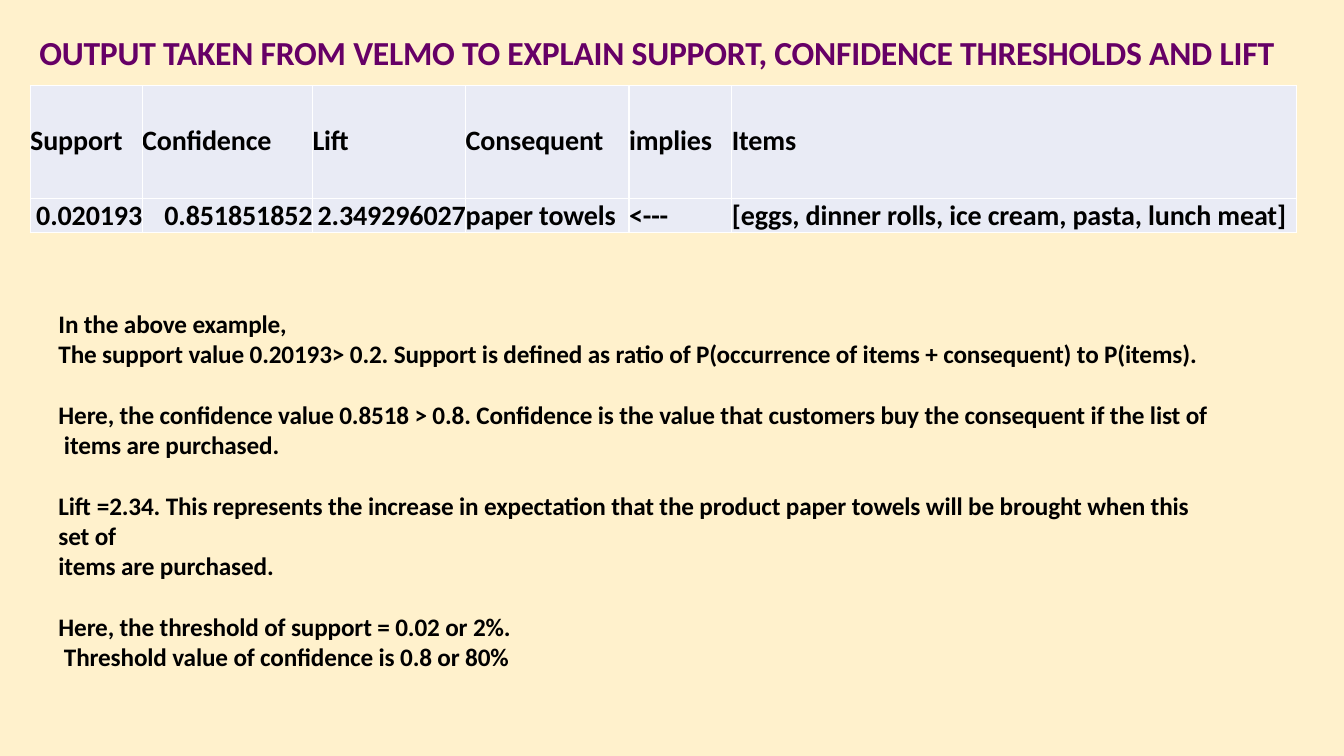
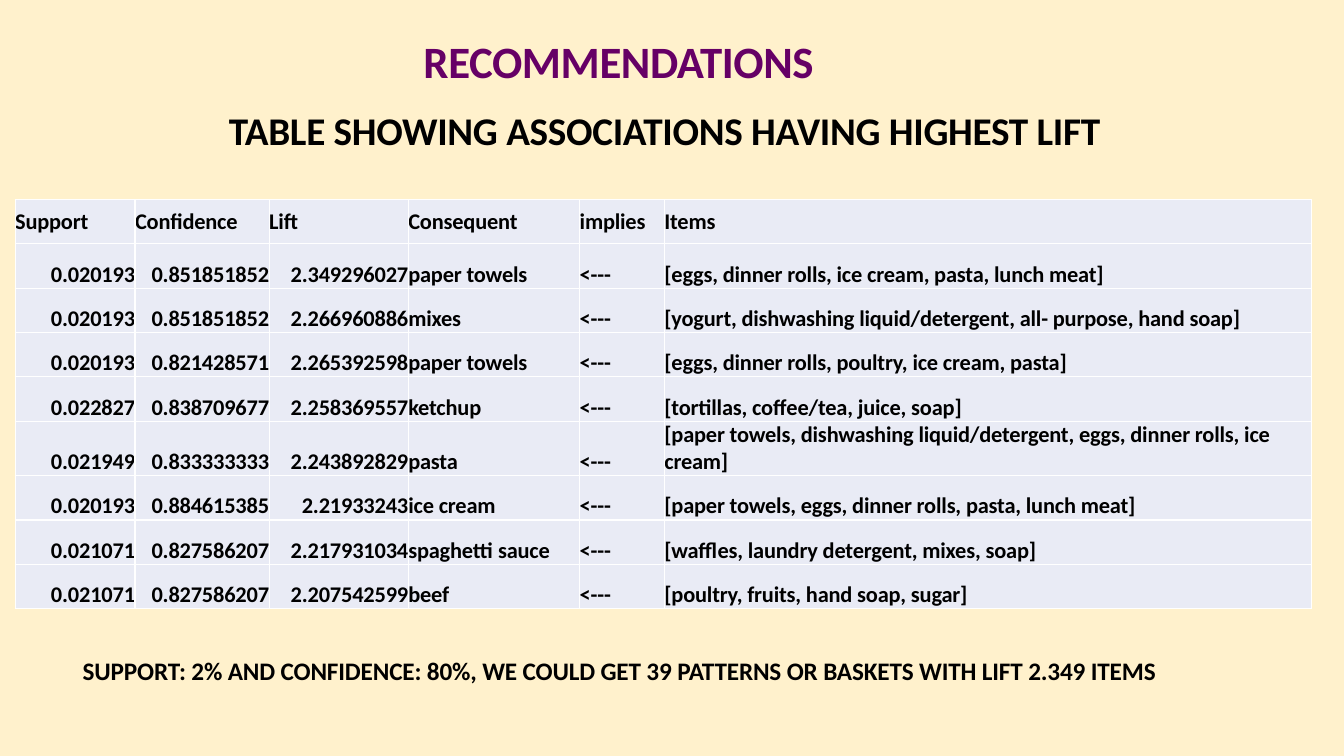
from pptx import Presentation
from pptx.dml.color import RGBColor
from pptx.enum.text import MSO_ANCHOR, MSO_AUTO_SIZE, PP_ALIGN
from pptx.util import Inches, Pt

FONT = "Calibri"
COLORS = {"cream": "FFF1CC", "plum": "660066", "ink": "000000", "cell": "E9EBF5"}
HEADS = ["Support", "Confidence", "Lift", "Consequent", "implies", "Items"]
TOWELS = ["0.020193", "0.851851852", "2.349296027", "paper towels",
          "[eggs, dinner rolls, ice cream, pasta, lunch meat]"]
RULES = [
    TOWELS,
    ["0.020193", "0.851851852", "2.266960886", "mixes",
     "[yogurt, dishwashing liquid/detergent, all- purpose, hand soap]"],
    ["0.020193", "0.821428571", "2.265392598", "paper towels",
     "[eggs, dinner rolls, poultry, ice cream, pasta]"],
    ["0.022827", "0.838709677", "2.258369557", "ketchup",
     "[tortillas, coffee/tea, juice, soap]"],
    ["0.021949", "0.833333333", "2.243892829", "pasta",
     "[paper towels, dishwashing liquid/detergent, eggs, dinner rolls, ice cream]"],
    ["0.020193", "0.884615385", "2.21933243", "ice cream",
     "[paper towels, eggs, dinner rolls, pasta, lunch meat]"],
    ["0.021071", "0.827586207", "2.217931034", "spaghetti sauce",
     "[waffles, laundry detergent, mixes, soap]"],
    ["0.021071", "0.827586207", "2.207542599", "beef",
     "[poultry, fruits, hand soap, sugar]"],
]
NOTES = [
    "In the above example,\vThe support value 0.20193> 0.2. Support is defined as "
    "ratio of P(occurrence of items + consequent) to P(items).",
    "Here, the confidence value 0.8518 > 0.8. Confidence is the value that customers "
    "buy the consequent if the list of\v items are purchased.",
    "Lift =2.34. This represents the increase in expectation that the product paper "
    "towels will be brought when this\vset of\vitems are purchased.",
    "Here, the threshold of support = 0.02 or 2%.\v Threshold value of confidence is 0.8 or 80%",
]


def tint(name):
    """Return the named colour."""
    return RGBColor.from_string(COLORS[name])


def style(frame, size, color="ink", track=-0.1):
    """Format every run of a text frame, with letter spacing in points."""
    for para in frame.paragraphs:
        for run in para.runs:
            font = run.font
            font.name, font.size, font.bold = FONT, Pt(size), True
            font.color.rgb = tint(color)
            run._r.get_or_add_rPr().set("spc", str(round(track * 100)))


def fit(frame):
    """Wrap a text frame from its top left corner without side insets."""
    frame.word_wrap = True
    frame.auto_size = MSO_AUTO_SIZE.NONE
    frame.vertical_anchor = MSO_ANCHOR.TOP
    frame.margin_left = frame.margin_right = frame.margin_bottom = 0
    frame.margin_top = Inches(0.02)


def add_page(deck, title, box, size, track):
    """Add a title-only slide and set its title in the given box."""
    slide = deck.slides.add_slide(deck.slide_layouts[5])
    shape = slide.shapes.title
    shape.left, shape.top, shape.width, shape.height = map(Inches, box)
    frame = shape.text_frame
    frame.text = title
    fit(frame)
    frame.paragraphs[0].alignment = PP_ALIGN.LEFT
    style(frame, size, "plum", track)
    return slide


def add_text(slide, paras, box, size, track=-0.1, gap=0):
    """Add a text box whose paragraphs are parted by a gap in points."""
    frame = slide.shapes.add_textbox(*map(Inches, box)).text_frame
    frame.text = "\n".join(paras)
    fit(frame)
    for para in frame.paragraphs[1:]:
        para.space_before = Pt(gap)
    style(frame, size, track=track)


def add_rules(slide, rules, spot, cols, rows, size, lead):
    """Add a table of association rules under the shared headings."""
    lines = [HEADS] + [rule[:4] + ["<---", rule[4]] for rule in rules]
    box = (*spot, sum(cols), sum(rows))
    table = slide.shapes.add_table(len(rows), len(cols), *map(Inches, box)).table
    table.first_row = table.horz_banding = False
    for col, width in zip(table.columns, cols):
        col.width = Inches(width)
    for i, (row, height, line) in enumerate(zip(table.rows, rows, lines)):
        row.height = Inches(height)
        for j, (cell, text) in enumerate(zip(row.cells, line)):
            cell.fill.solid()
            cell.fill.fore_color.rgb = tint("cell")
            cell.margin_left = cell.margin_right = cell.margin_top = cell.margin_bottom = 0
            cell.vertical_anchor = MSO_ANCHOR.BOTTOM if i else MSO_ANCHOR.MIDDLE
            cell.text_frame.text = text
            para = cell.text_frame.paragraphs[0]
            para.line_spacing = Pt(lead)
            para.alignment = PP_ALIGN.RIGHT if i and j < 3 else PP_ALIGN.LEFT
            style(cell.text_frame, size)


def add_output(deck):
    """Build the slide that explains one rule."""
    title = "OUTPUT TAKEN FROM VELMO TO EXPLAIN SUPPORT, CONFIDENCE THRESHOLDS AND LIFT"
    slide = add_page(deck, title, (0.39, 0.3, 12.6, 0.43), 24, -0.17)
    add_rules(slide, [TOWELS], (0.3, 0.85), [1.11, 1.69, 1.52, 1.62, 1.02, 5.6],
              [1.12, 0.34], 20, 23.4)
    add_text(slide, NOTES, (0.58, 3.04, 12.02, 3.7), 18, gap=21.6)


def add_advice(deck):
    """Build the slide with the strongest rules."""
    slide = add_page(deck, "RECOMMENDATIONS", (4.2, 0.31, 4.2, 0.56), 32, -0.3)
    add_text(slide, ["TABLE SHOWING ASSOCIATIONS HAVING HIGHEST LIFT"],
             (2.27, 1.03, 9.2, 0.49), 28, -0.2)
    add_rules(slide, RULES, (0.15, 1.98), [1.19, 1.33, 1.38, 1.7, 0.84, 6.42],
              [0.44] * 5 + [0.54] + [0.44] * 3, 16, 19.2)
    add_text(slide, ["SUPPORT: 2% AND CONFIDENCE: 80%, WE COULD GET 39 PATTERNS OR "
                     "BASKETS WITH LIFT 2.349 ITEMS"], (0.82, 6.48, 11.2, 0.33), 18)


def main():
    """Build and save the deck."""
    deck = Presentation()
    deck.slide_width, deck.slide_height = Inches(13.33), Inches(7.5)
    fill = deck.slide_master.background.fill
    fill.solid()
    fill.fore_color.rgb = tint("cream")
    add_output(deck)
    add_advice(deck)
    deck.save("out.pptx")


if __name__ == "__main__":
    main()
